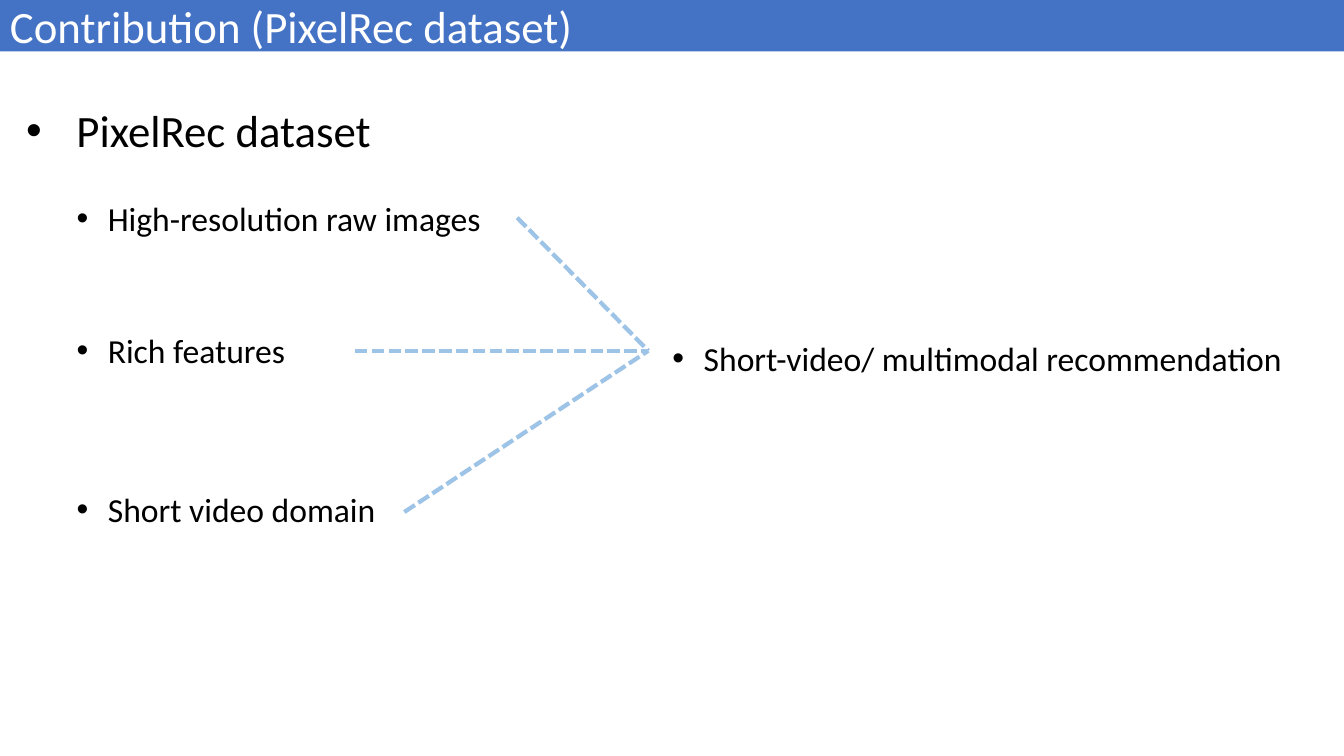
from lxml import etree
from pptx import Presentation
from pptx import util as u
from pptx.dml.color import RGBColor
from pptx.enum import dml, shapes, text
from pptx.oxml import ns

COLORS = {"banner": "4472C4", "banner_text": "FFFFFF", "body": "000000", "link": "9DC3E6"}


class ContributionSlide:
    """Holds the shared style and the slide being drawn."""

    font_name = "Calibri"

    def __init__(self, deck):
        self.slide = deck.slides.add_slide(deck.slide_layouts[6])

    def color(self, key):
        return RGBColor.from_string(COLORS[key])

    def wording(self, frame, words, size, color, frame_format):
        for name, value in frame_format.items():
            setattr(frame, name, value)
        paragraph = frame.paragraphs[0]
        paragraph.alignment = text.PP_ALIGN.LEFT
        run = paragraph.add_run()
        run.text = words
        for name, value in {"name": self.font_name, "size": u.Pt(size)}.items():
            setattr(run.font, name, value)
        run.font.color.rgb = self.color(color)

    def banner(self, words, width, height):
        bar = self.slide.shapes.add_shape(
            shapes.MSO_SHAPE.RECTANGLE, 0, 0, u.Inches(width), u.Inches(height))
        bar.shadow.inherit = False
        bar.fill.solid()
        bar.fill.fore_color.rgb = self.color("banner")
        bar.line.fill.background()
        self.wording(bar.text_frame, words, 32, "banner_text",
                     {"word_wrap": True, "vertical_anchor": text.MSO_ANCHOR.MIDDLE})

    def bullet(self, words, box, size, indent, frame_format):
        frame = self.slide.shapes.add_textbox(*map(u.Inches, box)).text_frame
        properties = frame.paragraphs[0]._p.get_or_add_pPr()
        properties.set("marL", str(u.Inches(indent)))
        properties.set("indent", str(-u.Inches(indent)))
        etree.SubElement(properties, ns.qn("a:buFont"), typeface="Arial")
        etree.SubElement(properties, ns.qn("a:buChar"), char="•")
        self.wording(frame, words, size, "body", {"word_wrap": True, **frame_format})

    def heading(self, words, box):
        self.bullet(words, box, 32, 0.5, {"vertical_anchor": text.MSO_ANCHOR.TOP})

    def point(self, words, left, top, width):
        margins = dict.fromkeys(
            ("margin_left", "margin_top", "margin_right", "margin_bottom"), 0)
        self.bullet(words, (left, top, width, 0.4), 24, 0.31,
                    {"vertical_anchor": text.MSO_ANCHOR.MIDDLE, **margins})

    def link(self, start, end):
        dash = self.slide.shapes.add_connector(
            shapes.MSO_CONNECTOR.STRAIGHT, *map(u.Inches, start + end))
        dash.line.color.rgb = self.color("link")
        line_format = {"width": u.Pt(3), "dash_style": dml.MSO_LINE.SQUARE_DOT}
        for name, value in line_format.items():
            setattr(dash.line, name, value)
        etree.SubElement(dash._element.spPr, ns.qn("a:effectLst"))


def main():
    deck = Presentation()
    deck.slide_width, deck.slide_height = u.Inches(13.33), u.Inches(7.5)
    contribution = ContributionSlide(deck)
    contribution.banner("Contribution (PixelRec dataset)", 13.33, 0.51)
    contribution.heading("PixelRec dataset", (0.16, 0.97, 8.54, 1.72))

    features = [
        ("High-resolution raw images", 1.96, 4.37, (5.13, 2.16)),
        ("Rich features", 3.27, 2.76, (3.52, 3.48)),
        ("Short video domain", 4.85, 4.15, (4.01, 5.08)),
    ]
    for words, top, width, _ in features:
        contribution.point(words, 0.76, top, width)
    contribution.point("Short-video/ multimodal recommendation", 6.67, 3.35, 6.66)

    junction = (6.43, 3.48)
    for *_, link_start in features:
        contribution.link(link_start, junction)
    deck.save("out.pptx")


if __name__ == "__main__":
    main()
